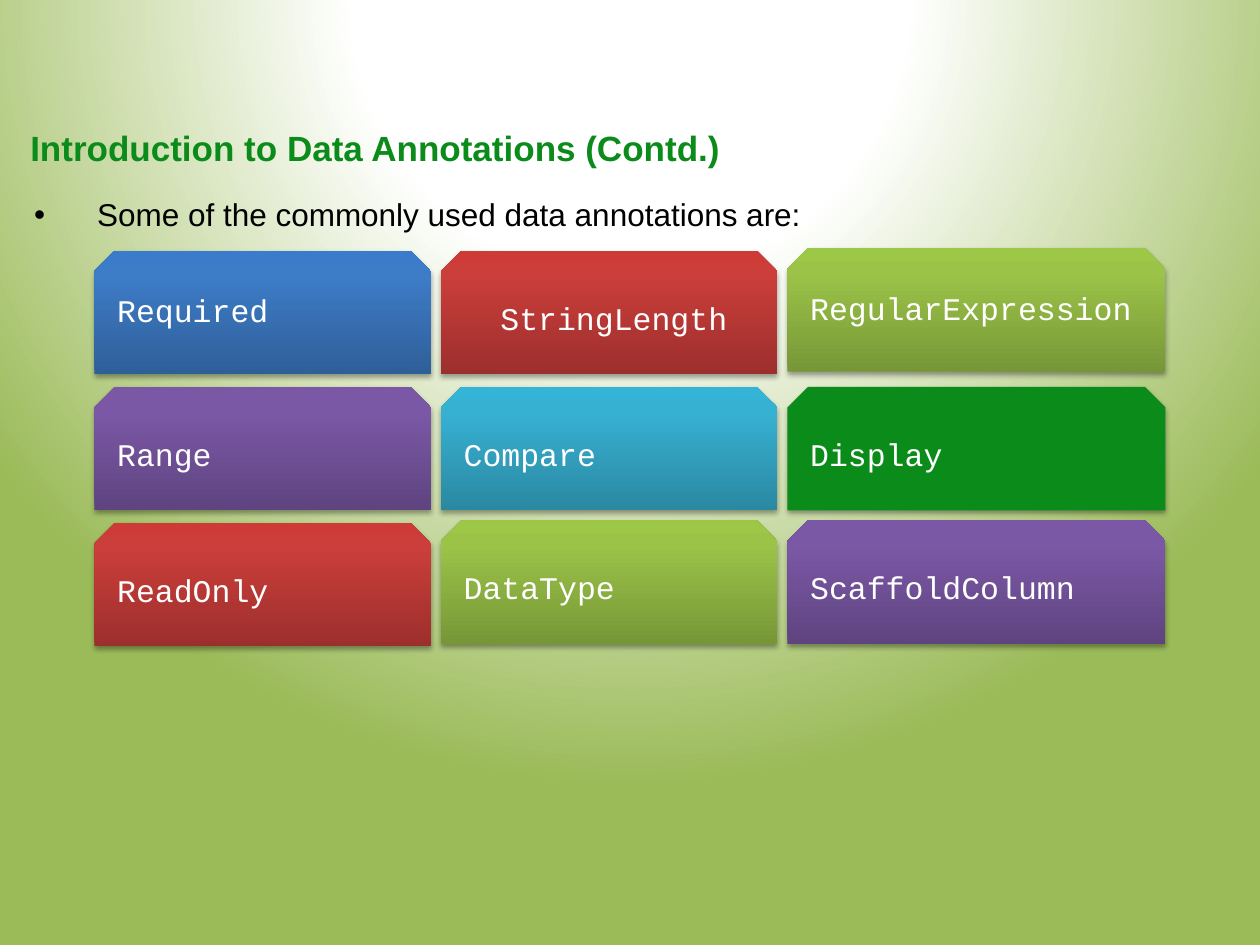
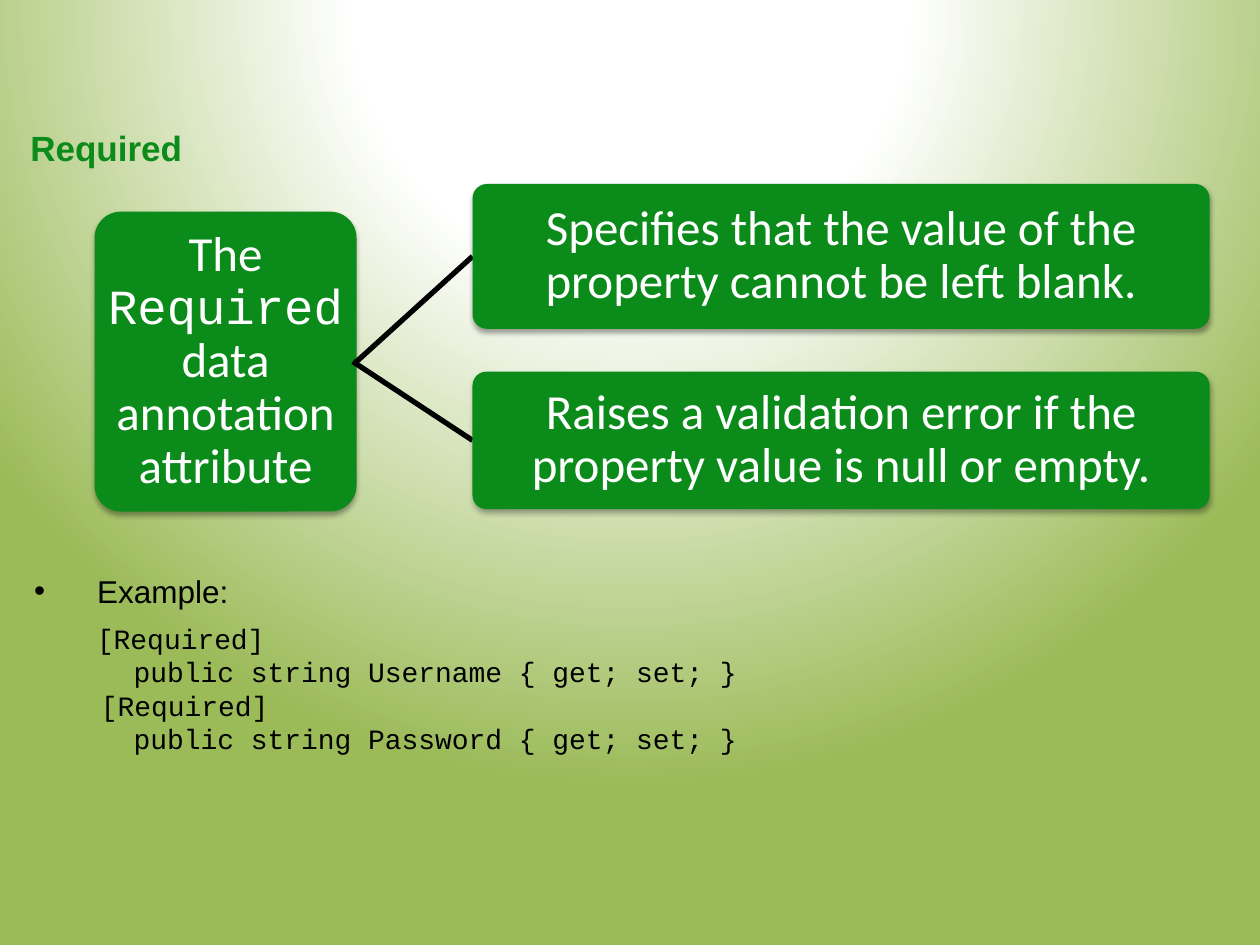
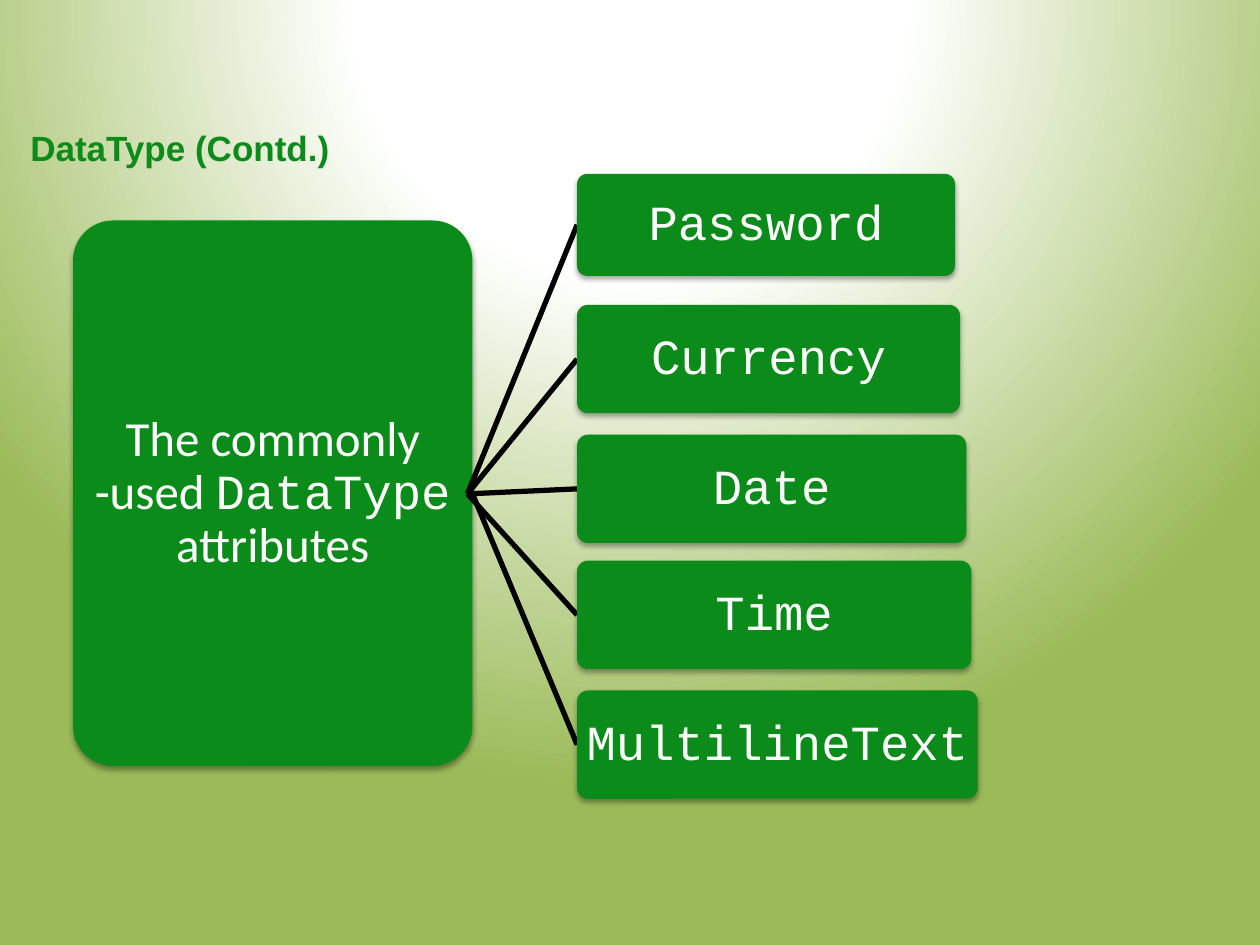
from dataclasses import dataclass

from pptx import Presentation
from pptx.dml.color import RGBColor
from pptx.enum.shapes import MSO_CONNECTOR as Connector, MSO_SHAPE as Preset
from pptx.enum.text import MSO_ANCHOR as Anchor, MSO_AUTO_SIZE as AutoSize, PP_ALIGN as Align
from pptx.oxml import parse_xml
from pptx.oxml.ns import nsdecls, qn
from pptx.util import Inches, Pt

COLORS = {"green": "0B8B1A", "white": "FFFFFF", "black": "000000", "backdrop": "9BBB59"}
CARD_GRADIENTS = {
    "blue": ("2F5F99", "3D7CC7", "3A7CCB"),
    "red": ("9C2F2D", "CB3E3A", "CE3B37"),
    "olive": ("779737", "9BC348", "9DC746"),
    "purple": ("5F4480", "7B58A6", "7C57A8"),
    "aqua": ("2A88A2", "37B1D2", "34B4D6"),
}
HEADING, BODY, CODE = "Arial", "Calibri", "Courier New"
TITLE_AND_CONTENT, TITLE_ONLY = 1, 5


@dataclass
class Card:
    label: str
    fill: str
    nudge: float = 0  # moves the card down
    lift: float = 0  # extra bottom inset
    shift: float = 0  # extra left inset


@dataclass
class Branch:
    text: str
    top: float
    width: float
    height: float
    hub_left: float


CARD_LEFTS, CARD_WIDTHS, CARD_HEIGHT = (0.75, 3.5, 6.25), (2.67, 2.67, 3), 0.98
CARD_TOPS = (1.99, 3.07, 4.13)
CARD_ROWS = (
    (Card("Required", "blue", lift=0.12), Card("StringLength", "red", shift=0.29),
     Card("RegularExpression", "olive", nudge=-0.02, lift=0.12)),
    (Card("Range", "purple"), Card("Compare", "aqua"), Card("Display", "green")),
    (Card("ReadOnly", "red", nudge=0.02), Card("DataType", "olive"),
     Card("ScaffoldColumn", "purple")),
)
CODE_LINES = (
    ("[Required]", 0.5),
    ("public string Username { get; set; }", 0.79),
    ("[Required]", 0.53),
    ("public string Password { get; set; }", 0.79),
)


def rgb(name):
    return RGBColor.from_string(COLORS[name])


def style_run(run, font, size, color, bold=False):
    run.font.name = font
    run.font.size = Pt(size)
    run.font.bold = bold
    run.font.color.rgb = rgb(color)


def put_gradient(fill, properties, stops, direction):
    """Replace the fill inside a properties element by a gradient of (percent, hex) stops."""
    fill.background()
    stop_xml = "".join(
        f'<a:gs pos="{percent * 1000}"><a:srgbClr val="{color}"/></a:gs>'
        for percent, color in stops)
    gradient = parse_xml(f'<a:gradFill {nsdecls("a")} rotWithShape="1">'
                         f"<a:gsLst>{stop_xml}</a:gsLst>{direction}</a:gradFill>")
    properties.replace(properties.find(qn("a:noFill")), gradient)


def set_backdrop(master):
    fill = master.background.fill
    fill.solid()
    white = COLORS["white"]
    put_gradient(
        fill, master.element.find(".//" + qn("p:bgPr")),
        ((0, white), (35, white), (100, COLORS["backdrop"])),
        '<a:path path="circle"><a:fillToRect l="50000" t="-80000" r="50000" b="180000"/></a:path>')


def add_titled_slide(presentation, layout, title_text):
    slide = presentation.slides.add_slide(presentation.slide_layouts[layout])
    title = slide.shapes.title
    title.left, title.top, title.width, title.height = map(Inches, (0.14, 0.95, 9.5, 0.44))
    frame = title.text_frame
    frame.text = title_text
    frame.word_wrap = True
    frame.auto_size = AutoSize.NONE
    frame.vertical_anchor = Anchor.TOP
    frame.paragraphs[0].alignment = Align.LEFT
    style_run(frame.paragraphs[0].runs[0], HEADING, 20, "green", bold=True)
    return slide


def set_indent(paragraph, left, hanging=0):
    properties = paragraph._p.get_or_add_pPr()
    properties.set("marL", str(Inches(left)))
    properties.set("indent", str(Inches(-hanging)))
    return properties


def fill_body(slide, top, height, bullet_text, code_lines=()):
    body = slide.placeholders[1]
    body.left, body.top, body.width, body.height = map(Inches, (0.17, top, 9.5, height))
    frame = body.text_frame
    frame.text = bullet_text
    frame.auto_size = AutoSize.NONE
    bullet = frame.paragraphs[0]
    bullet.space_before = Pt(0)
    set_indent(bullet, 0.5, hanging=0.5)
    style_run(bullet.runs[0], HEADING, 18, "black")
    for index, (text, indent) in enumerate(code_lines):
        paragraph = frame.add_paragraph()
        paragraph.text = text
        paragraph.space_before = Pt(0 if index else 7)
        paragraph.line_spacing = Pt(19)
        set_indent(paragraph, indent).append(parse_xml(f'<a:buNone {nsdecls("a")}/>'))
        style_run(paragraph.runs[0], CODE, 16, "black")


def add_block(slide, preset, left, top, width, height):
    """Add a green shape with a soft shadow and no outline."""
    shape = slide.shapes.add_shape(preset, *map(Inches, (left, top, width, height)))
    shape.fill.solid()
    shape.fill.fore_color.rgb = rgb("green")
    shape.line.fill.background()
    shape.shadow.inherit = False
    shape.element.spPr.find(qn("a:effectLst")).append(parse_xml(
        f'<a:outerShdw {nsdecls("a")} blurRad="{Pt(3.1)}" dist="{Pt(1.8)}" dir="5400000" '
        f'rotWithShape="0"><a:srgbClr val="{COLORS["black"]}"><a:alpha val="35000"/>'
        "</a:srgbClr></a:outerShdw>"))
    shape.text_frame.word_wrap = True
    shape.text_frame.vertical_anchor = Anchor.MIDDLE
    shape.text_frame.paragraphs[0].alignment = Align.CENTER
    return shape


def add_card(slide, card, left, top, width):
    shape = add_block(slide, Preset.SNIP_2_SAME_RECTANGLE, left, top + card.nudge,
                      width, CARD_HEIGHT)
    if card.fill in CARD_GRADIENTS:
        put_gradient(shape.fill, shape.element.spPr,
                     zip((0, 80, 100), CARD_GRADIENTS[card.fill]),
                     '<a:lin ang="16200000" scaled="0"/>')
    frame = shape.text_frame
    frame.margin_bottom = Inches(0.05 + card.lift)
    frame.margin_left = Inches(0.1 + card.shift)
    frame.text = card.label
    style_run(frame.paragraphs[0].runs[0], CODE, 18, "white")


def add_rounded_box(slide, left, top, width, height, parts):
    """Add a rounded box whose text is made of (text, font) parts."""
    shape = add_block(slide, Preset.ROUNDED_RECTANGLE, left, top, width, height)
    shape.adjustments[0] = 0.1
    frame = shape.text_frame
    frame.margin_left = frame.margin_right = Inches(0.02)
    frame.margin_top = frame.margin_bottom = Inches(0.02)
    paragraph = frame.paragraphs[0]
    paragraph.line_spacing = 0.9
    for text, font in parts:
        if text == "\n":
            paragraph.add_line_break()
            continue
        run = paragraph.add_run()
        run.text = text
        style_run(run, font, 28, "white")


def add_line(slide, start, end):
    line = slide.shapes.add_connector(Connector.STRAIGHT, *map(Inches, (*start, *end)))
    line.line.color.rgb = rgb("black")
    line.line.width = Pt(3)
    line.element.spPr.append(parse_xml(f'<a:effectLst {nsdecls("a")}/>'))


def add_branches(slide, hub_top, left, font, branches):
    for branch in branches:
        add_line(slide, (branch.hub_left, hub_top), (left, branch.top + branch.height / 2))
        add_rounded_box(slide, left, branch.top, branch.width, branch.height,
                        [(branch.text, font)])


def build_annotations_slide(presentation):
    slide = add_titled_slide(presentation, TITLE_AND_CONTENT,
                             "Introduction to Data Annotations (Contd.)")
    fill_body(slide, 1.5, 4.42, "Some of the commonly used data annotations are:")
    for top, cards in zip(CARD_TOPS, CARD_ROWS):
        for card, left, width in zip(cards, CARD_LEFTS, CARD_WIDTHS):
            add_card(slide, card, left, top, width)


def build_required_slide(presentation):
    slide = add_titled_slide(presentation, TITLE_AND_CONTENT, "Required")
    add_rounded_box(slide, 0.75, 1.68, 2.08, 2.38, [
        ("The ", BODY), ("Required", CODE), (" data annotation attribute", BODY)])
    add_branches(slide, 2.87, 3.75, BODY, [
        Branch("Specifies that the value of the property cannot be left blank.",
               1.46, 5.85, 1.15, 2.83),
        Branch("Raises a validation error if the property value is null or empty.",
               2.95, 5.85, 1.09, 2.8),
    ])
    fill_body(slide, 4.49, 1.6, "Example:", CODE_LINES)


def build_data_type_slide(presentation):
    slide = add_titled_slide(presentation, TITLE_ONLY, "DataType (Contd.)")
    add_rounded_box(slide, 0.58, 1.75, 3.17, 4.33, [
        ("The commonly", BODY), ("\n", BODY), ("-used ", BODY),
        ("DataType", CODE), (" attributes", BODY)])
    add_branches(slide, 3.92, 4.58, CODE, [
        Branch("Password", 1.38, 3, 0.81, 3.71),
        Branch("Currency", 2.42, 3.04, 0.86, 3.71),
        Branch("Date", 3.45, 3.09, 0.86, 3.71),
        Branch("Time", 4.45, 3.13, 0.86, 3.71),
        Branch("MultilineText", 5.48, 3.18, 0.86, 3.75),
    ])


def main():
    presentation = Presentation()
    presentation.slide_width, presentation.slide_height = Inches(10), Inches(7.5)
    set_backdrop(presentation.slide_master)
    build_annotations_slide(presentation)
    build_required_slide(presentation)
    build_data_type_slide(presentation)
    presentation.save("out.pptx")


if __name__ == "__main__":
    main()
